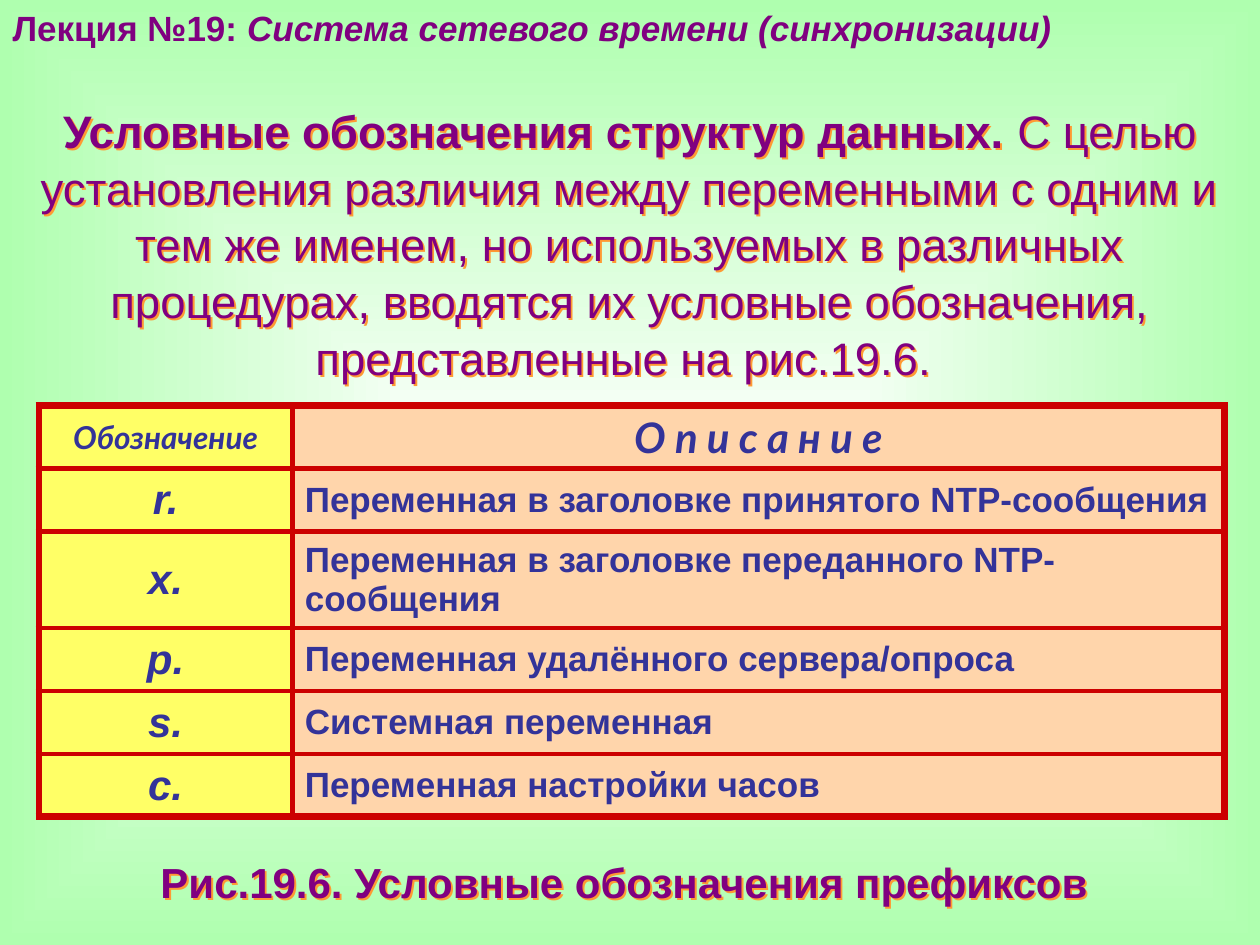
import pptx
import pptx.util
import pptx.oxml
import pptx.dml.color
import pptx.enum.text

Pt = pptx.util.Pt
ALIGN = pptx.enum.text.PP_ALIGN
MIDDLE = pptx.enum.text.MSO_ANCHOR.MIDDLE
NS = 'xmlns:a="http://schemas.openxmlformats.org/drawingml/2006/main"'
NS_P = 'xmlns:p="http://schemas.openxmlformats.org/presentationml/2006/main"'

PURPLE, BLUE, RED = "800080", "333399", "CC0000"
YELLOW, PEACH, ORANGE = "FFFF66", "FFD5AB", "FF9933"
WIDTH, HEIGHT = 720, 540

ROWS = [
    ("Обозначение", "О п и с а н и е"),
    ("r.", "Переменная в заголовке принятого NTP-сообщения"),
    ("x.", "Переменная в заголовке переданного NTP-сообщения"),
    ("p.", "Переменная удалённого сервера/опроса"),
    ("s.", "Системная переменная"),
    ("c.", "Переменная настройки часов"),
]


def color(code):
    return pptx.dml.color.RGBColor.from_string(code)


def style(font, size, code, face="Arial", bold=True, italic=False):
    font.size, font.name = Pt(size), face
    font.bold, font.italic = bold, italic
    font.color.rgb = color(code)


def place(shape, left, top, width, height):
    shape.left, shape.top = Pt(left), Pt(top)
    shape.width, shape.height = Pt(width), Pt(height)


def add_runs(para, parts, size):
    """Each part is (text, bold, italic)."""
    for text, bold, italic in parts:
        run = para.add_run()
        run.text = text
        style(run.font, size, PURPLE, bold=bold, italic=italic)


def paint_back(slide):
    """Fill the slide with green that fades to white at the centre."""
    back = pptx.oxml.parse_xml(
        f'<p:bg {NS_P} {NS}><p:bgPr><a:gradFill><a:gsLst>'
        '<a:gs pos="0"><a:srgbClr val="FFFFFF"/></a:gs>'
        '<a:gs pos="100000"><a:srgbClr val="AFFFAF"/></a:gs></a:gsLst>'
        '<a:path path="shape"><a:fillToRect l="50000" t="50000" r="50000" b="50000"/>'
        '</a:path></a:gradFill><a:effectLst/></p:bgPr></p:bg>')
    slide.element.cSld.insert(0, back)


def add_title(slide):
    title = slide.shapes.title
    place(title, 0, 0, WIDTH, 31)
    frame = title.text_frame
    frame.vertical_anchor = pptx.enum.text.MSO_ANCHOR.TOP
    frame.auto_size = pptx.enum.text.MSO_AUTO_SIZE.NONE
    para = frame.paragraphs[0]
    para.alignment = ALIGN.LEFT
    add_runs(para, [("Лекция №19: ", True, False),
                    ("Система сетевого времени (синхронизации)", True, True)], 20)


def add_text(slide, top, height, parts, size, spacing):
    """Add a centred full-width text with an orange shadow."""
    box = slide.shapes.add_textbox(0, Pt(top), Pt(WIDTH), Pt(height))
    box.element.spPr.append(pptx.oxml.parse_xml(
        f'<a:effectLst {NS}><a:outerShdw dist="20000" dir="2700000" algn="ctr">'
        f'<a:srgbClr val="{ORANGE}"/></a:outerShdw></a:effectLst>'))
    frame = box.text_frame
    frame.word_wrap = True
    para = frame.paragraphs[0]
    para.alignment, para.line_spacing = ALIGN.CENTER, spacing
    add_runs(para, parts, size)
    return frame


def edge_cell(cell, row, col):
    """Draw thick lines on the outside of the table and thinner ones inside."""
    outer = {"L": col == 0, "R": col == 1, "T": row == 0, "B": row == len(ROWS) - 1}
    props = cell._tc.get_or_add_tcPr()
    for spot, (side, thick) in enumerate(outer.items()):
        props.insert(spot, pptx.oxml.parse_xml(
            f'<a:ln{side} {NS} w="{Pt(4.5 if thick else 3)}"><a:solidFill>'
            f'<a:srgbClr val="{RED}"/></a:solidFill></a:ln{side}>'))


def fill_cell(cell, row, col, text):
    head, key = row == 0, col == 0
    cell.text_frame.text = text
    cell.vertical_anchor = MIDDLE
    para = cell.text_frame.paragraphs[0]
    para.alignment = ALIGN.CENTER if head or key else ALIGN.LEFT
    if head:
        size = 18 if key else 24
    else:
        size = 24 if key else 20
    style(para.runs[0].font, size, BLUE, "Lato" if head else "Arial",
          italic=head or key)
    cell.fill.solid()
    cell.fill.fore_color.rgb = color(YELLOW if key else PEACH)
    edge_cell(cell, row, col)


def add_grid(slide):
    widths, heights = (144.7, 532.8), (36, 36, 55, 36, 36, 36)
    table = slide.shapes.add_table(len(ROWS), 2, Pt(22.3), Pt(231.8),
                                   Pt(sum(widths)), Pt(sum(heights))).table
    table.first_row = table.horz_banding = False
    for column, width in zip(table.columns, widths):
        column.width = Pt(width)
    for row, texts in enumerate(ROWS):
        table.rows[row].height = Pt(heights[row])
        for col, text in enumerate(texts):
            fill_cell(table.cell(row, col), row, col, text)


def main():
    deck = pptx.Presentation()
    deck.slide_width, deck.slide_height = Pt(WIDTH), Pt(HEIGHT)
    slide = deck.slides.add_slide(deck.slide_layouts[5])
    paint_back(slide)
    add_title(slide)
    add_grid(slide)
    label = add_text(slide, 492.5, 26, [
        ("Рис.19.6. Условные обозначения префиксов ", True, False)], 24, 0.9)
    label.vertical_anchor = MIDDLE
    label.margin_left = label.margin_right = 0
    label.margin_top = label.margin_bottom = 0
    add_text(slide, 54, 163.4, [
        ("Условные обозначения структур данных. ", True, False),
        ("С целью установления различия между переменными с одним и тем же "
         "именем, но используемых в различных процедурах, вводятся их условные "
         "обозначения, представленные на рис.19.6. ", False, False)], 26, 1.04)
    deck.save("out.pptx")


if __name__ == "__main__":
    main()
